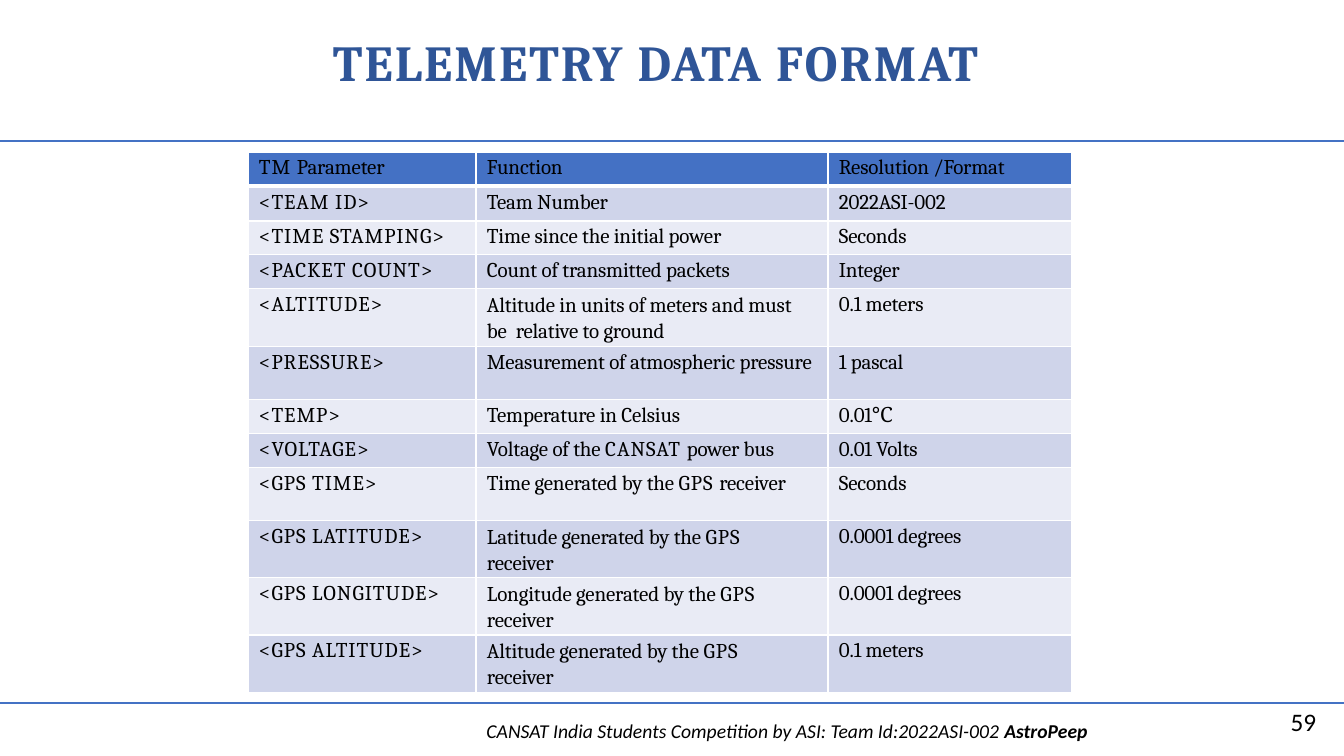
from itertools import groupby

from lxml.etree import SubElement
from pptx import Presentation
from pptx.dml.color import RGBColor
from pptx.enum.shapes import MSO_CONNECTOR
from pptx.enum.text import MSO_ANCHOR, MSO_AUTO_SIZE, PP_ALIGN
from pptx.oxml import parse_xml
from pptx.oxml.ns import nsdecls, qn
from pptx.util import Pt

PX = 914400 / 100.8
COLORS = {
    "text": "000000",
    "title": "2F5597",
    "rule": "4472C4",
    "header": "4471C4",
    "odd": "CFD4EA",
    "even": "E9EBF5",
    "border": "FFFFFF",
}
LONGEST_LINE = 35
COLUMN_WIDTHS = [228, 352, 244]
TELEMETRY = [
    (34, "TM Parameter", "Function", "Resolution /Format"),
    (35, "<TEAM ID>", "Team Number", "2022ASI-002"),
    (34, "<TIME STAMPING>", "Time since the initial power", "Seconds"),
    (34, "<PACKET COUNT>", "Count of transmitted packets", "Integer"),
    (53, "<ALTITUDE>", "Altitude in units of meters and must be  relative to ground", "0.1 meters"),
    (53, "<PRESSURE>", "Measurement of atmospheric pressure", "1 pascal"),
    (34, "<TEMP>", "Temperature in Celsius", "0.01℃"),
    (34, "<VOLTAGE>", "Voltage of the CANSAT power bus", "0.01 Volts"),
    (53, "<GPS TIME>", "Time generated by the GPS receiver", "Seconds"),
    (53, "<GPS LATITUDE>", "Latitude generated by the GPS receiver", "0.0001 degrees"),
    (53, "<GPS LONGITUDE>", "Longitude generated by the GPS receiver", "0.0001 degrees"),
    (53, "<GPS ALTITUDE>", "Altitude generated by the GPS receiver", "0.1 meters"),
]


def px(n):
    return round(n * PX)


def is_capitals(word):
    return word.isupper() and word.strip("<>").isalpha()


class SlideBuilder:
    heading_font = "Cambria"
    body_font = "Calibri"

    def __init__(self, slide):
        self.s = slide

    def color(self, name):
        return RGBColor.from_string(COLORS[name])

    def style(self, p, font, size, color="text"):
        p.font.name = font
        p.font.size = Pt(size)
        p.font.color.rgb = self.color(color)

    def add_run(self, p, text, spacing=0):
        r = p.add_run()
        r.text = text
        if spacing:
            r.font._element.set("spc", str(spacing))
        return r

    def title(self, text, x, y, w, h):
        sp = self.s.shapes.title
        sp.left, sp.top, sp.width, sp.height = map(px, (x, y, w, h))
        tf = sp.text_frame
        tf.auto_size = MSO_AUTO_SIZE.NONE
        tf.vertical_anchor = MSO_ANCHOR.TOP
        tf.margin_left = tf.margin_right = tf.margin_bottom = 0
        tf.margin_top = px(1)
        p = tf.paragraphs[0]
        p.alignment = PP_ALIGN.LEFT
        self.style(p, self.heading_font, 36, "title")
        p.font.bold = True
        self.add_run(p, text, 150)

    def text(self, text, x, y, w, h, size, align):
        tf = self.s.shapes.add_textbox(*map(px, (x, y, w, h))).text_frame
        tf.word_wrap = True
        p = tf.paragraphs[0]
        p.alignment = align
        self.style(p, self.body_font, size)
        self.add_run(p, text)
        return p

    def rule(self, y):
        line = self.s.shapes.add_connector(MSO_CONNECTOR.STRAIGHT, 0, px(y), px(1344), px(y))
        line.line.color.rgb = self.color("rule")
        line.line.width = Pt(2)
        SubElement(line._element.spPr, qn("a:effectLst"))

    def borders(self, cell, row):
        tcPr = cell._tc.get_or_add_tcPr()
        top = 3 if row == 1 else 1
        bottom = 3 if row == 0 else 1
        for i, (side, width) in enumerate(zip("LRTB", (1, 1, top, bottom))):
            tcPr.insert(i, parse_xml(
                f'<a:ln{side} {nsdecls("a")} w="{Pt(width)}"><a:solidFill>'
                f'<a:srgbClr val="{COLORS["border"]}"/></a:solidFill></a:ln{side}>'))

    def cell(self, cell, text, row):
        wraps = len(text) > LONGEST_LINE
        cell.margin_left = px(11)
        cell.margin_right = px(24) if wraps else 0
        cell.margin_top = px(5 if row == 1 else 3 if wraps else 4)
        cell.margin_bottom = 0
        cell.fill.solid()
        fill = "header" if row == 0 else "odd" if row % 2 else "even"
        cell.fill.fore_color.rgb = self.color(fill)
        self.borders(cell, row)
        p = cell.text_frame.paragraphs[0]
        if wraps:
            p.line_spacing = 1.08
        self.style(p, self.heading_font, 15)
        groups = [(caps, " ".join(words)) for caps, words in groupby(text.split(" "), is_capitals)]
        for i, (caps, part) in enumerate(groups, 1):
            gap = " " if i < len(groups) else ""
            self.add_run(p, part + gap, 70 if caps else -10)

    def table(self, rows, x, y):
        width, height = sum(COLUMN_WIDTHS), sum(row[0] for row in rows)
        frame = self.s.shapes.add_table(
            len(rows), len(COLUMN_WIDTHS), *map(px, (x, y, width, height)))
        table = frame.table
        for column, w in zip(table.columns, COLUMN_WIDTHS):
            column.width = px(w)
        for i, (h, *texts) in enumerate(rows):
            table.rows[i].height = px(h)
            for j, text in enumerate(texts):
                self.cell(table.cell(i, j), text, i)


def main():
    prs = Presentation()
    prs.slide_width, prs.slide_height = px(1344), px(756)
    builder = SlideBuilder(prs.slides.add_slide(prs.slide_layouts[5]))

    p = builder.text("CANSAT India Students Competition by ASI: Team Id:2022ASI-002 ",
                     472, 714, 630, 34, 14, PP_ALIGN.CENTER)
    p.font.italic = True
    builder.add_run(p, "AstroPeep").font.bold = True
    for y in (703, 141):
        builder.rule(y)
    builder.text("59", 1024, 701, 302, 40, 18, PP_ALIGN.RIGHT)
    builder.title("TELEMETRY DATA FORMAT", 333, 30, 703, 62)
    builder.table(TELEMETRY, 248, 152)

    prs.save("out.pptx")


if __name__ == "__main__":
    main()
